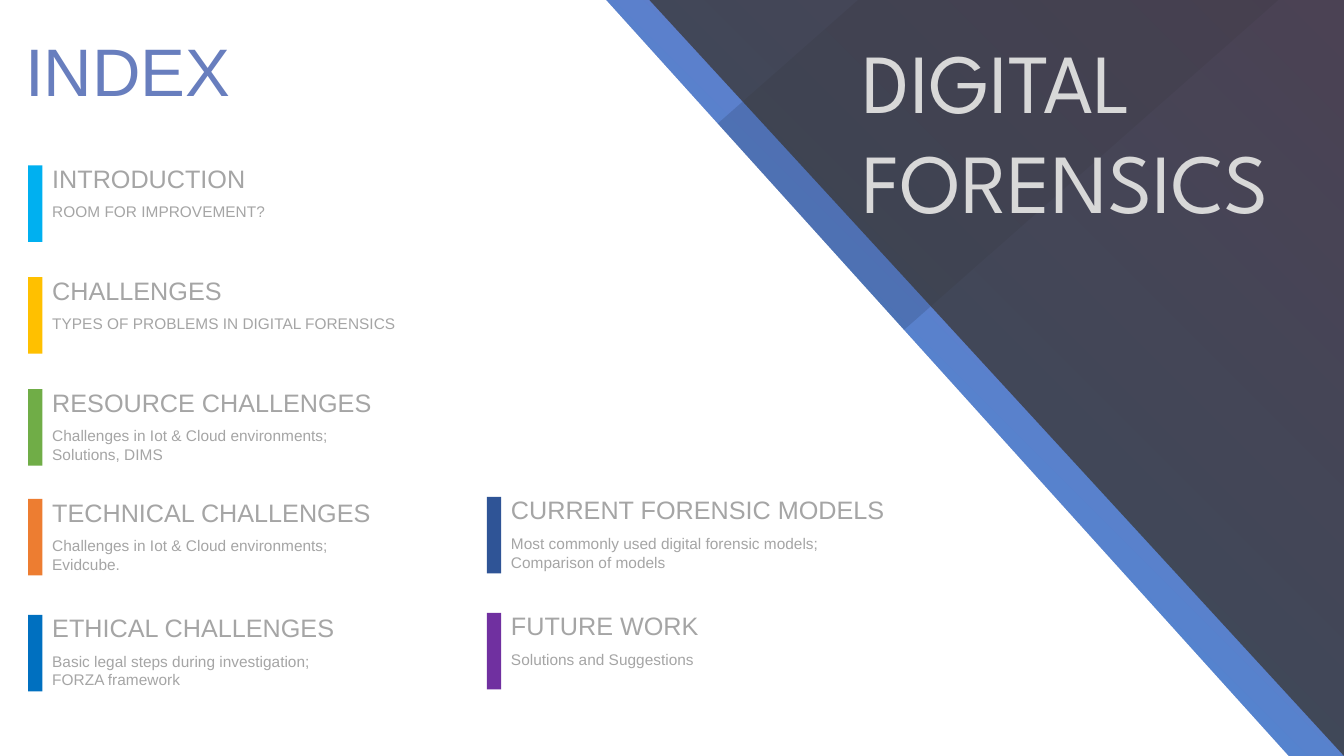
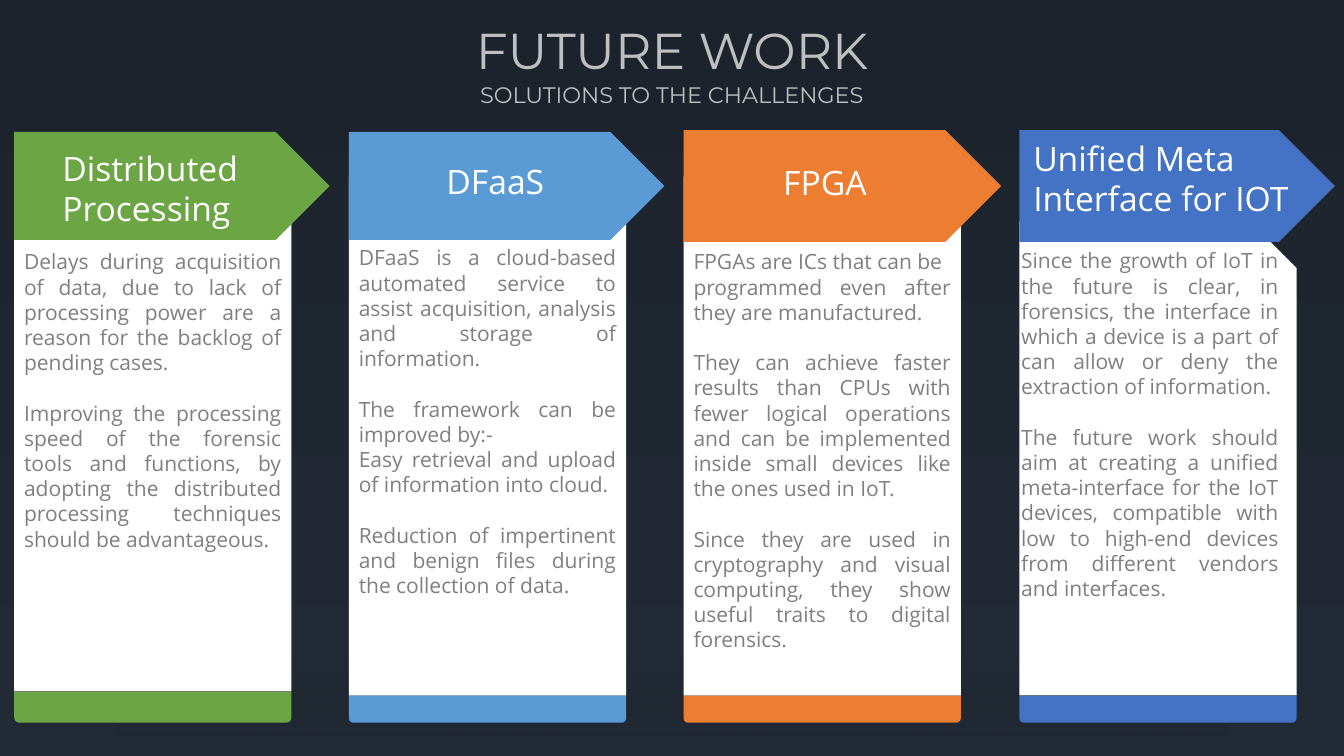
from dataclasses import dataclass

from lxml import etree
from pptx import Presentation
from pptx.dml.color import RGBColor
from pptx.enum.shapes import MSO_SHAPE
from pptx.enum.text import PP_ALIGN
from pptx.oxml.ns import qn
from pptx.util import Pt

EMU_PER_PX = 9144
LEFT, CENTER, JUSTIFY = PP_ALIGN.LEFT, PP_ALIGN.CENTER, PP_ALIGN.JUSTIFY
RECTANGLE = MSO_SHAPE.RECTANGLE
PENTAGON = MSO_SHAPE.PENTAGON
SNIPPED = MSO_SHAPE.SNIP_1_RECTANGLE
ROUNDED_TOP = MSO_SHAPE.ROUND_2_SAME_RECTANGLE


@dataclass(frozen=True)
class Theme:
    """Colours, fonts and type sizes of the presentation."""

    white: str = "FFFFFF"
    black: str = "000000"
    charcoal: str = "3A3838"
    sky: str = "00B0F0"
    violet: str = "8A67B9"
    night: str = "1C232C"
    dusk: str = "222A35"
    cover_text: str = "D8D8D8"
    index_title: str = "687EBE"
    index_text: str = "A5A5A5"
    title_text: str = "BFBFBF"
    body_text: str = "7F7F7F"
    amber: str = "FFC000"
    green: str = "70AD47"
    orange: str = "ED7D31"
    blue: str = "0070C0"
    navy: str = "2F5496"
    purple: str = "7030A0"
    leaf: str = "6CA644"
    azure: str = "5B9BD5"
    royal: str = "4472C4"
    cover_font: str = "League Spartan"
    index_font: str = "Arial"
    title_font: str = "Montserrat"
    column_font: str = "Open Sans"
    cover_size: int = 60
    index_size: int = 48
    title_size: int = 36
    heading_size: int = 24
    label_size: int = 18
    subtitle_size: int = 16
    body_size: int = 15
    detail_size: int = 11
    block_gap: int = 18


THEME = Theme()

INDEX_ENTRIES = (
    (28, 164, THEME.sky, "INTRODUCTION", "ROOM FOR IMPROVEMENT?"),
    (28, 275, THEME.amber, "CHALLENGES", "TYPES OF PROBLEMS IN DIGITAL FORENSICS"),
    (28, 386, THEME.green, "RESOURCE CHALLENGES",
     "Challenges in Iot & Cloud environments;\nSolutions, DIMS"),
    (28, 495, THEME.orange, "TECHNICAL CHALLENGES",
     "Challenges in Iot & Cloud environments;\nEvidcube."),
    (28, 610, THEME.blue, "ETHICAL CHALLENGES",
     "Basic legal steps during investigation;\nFORZA framework"),
    (483, 493, THEME.navy, "CURRENT FORENSIC MODELS",
     "Most commonly used digital forensic models;\nComparison of models"),
    (483, 608, THEME.purple, "FUTURE WORK", "Solutions and Suggestions"),
)


@dataclass(frozen=True)
class Column:
    """One solution, with offsets measured from the column's left edge."""

    color: str
    heading: str
    heading_box: tuple
    arrow_box: tuple
    panel_top: int
    footer_top: int
    body_offset: int
    body_top: int
    blocks: tuple


COLUMNS = (
    Column(THEME.leaf, "Distributed Processing", (38, 142, 200, 50),
           (131, 313, 107), 135, 686, 0, 242, (
               ("Delays during acquisition of data, due to lack of processing power "
                "are a reason for the backlog of pending cases.",),
               ("Improving the processing speed of the forensic tools and functions, by "
                "adopting the distributed processing techniques should be advantageous.",),
           )),
    Column(THEME.azure, "DFaaS", (87, 155, 150, 43),
           (131, 313, 107), 175, 690, 0, 238, (
               ("DFaaS is a cloud-based automated service to assist acquisition, "
                "analysis and storage of information.",),
               ("The framework can be improved by:-",
                "Easy retrieval and upload of information into cloud."),
               ("Reduction of impertinent and benign files during "
                "the collection of data.",),
           )),
    Column(THEME.orange, "FPGA", (89, 156, 150, 43),
           (129, 315, 111), 175, 690, 0, 242, (
               ("FPGAs are ICs that can be",
                "programmed even after they are manufactured."),
               ("They can achieve faster results than CPUs with fewer logical operations "
                "and can be implemented inside small devices like the ones used in IoT.",),
               ("Since they are used in cryptography and visual computing, they show "
                "useful traits to digital forensics.",),
           )),
    Column(THEME.royal, "Unified Meta Interface for IOT", (4, 132, 304, 71),
           (129, 313, 111), 220, 690, -8, 241, (
               ("Since the growth of IoT in the future is clear, in forensics, the "
                "interface in which a device is a part of can allow or deny the "
                "extraction of information.",),
               ("The future work should aim at creating a unified meta-interface for the "
                "IoT devices, compatible with low to high-end devices from different "
                "vendors and interfaces.",),
           )),
)


def px(length):
    """Turn pixels into EMU."""
    return length * EMU_PER_PX


def set_alpha(color_element, percent):
    """Make a colour partly transparent."""
    etree.SubElement(color_element, qn("a:alpha")).set("val", str(percent * 1000))


def paint(shape, color, opacity=100):
    """Give a shape a flat fill with no outline or shadow."""
    shape.shadow.inherit = False
    shape.line.fill.background()
    shape.fill.solid()
    shape.fill.fore_color.rgb = RGBColor.from_string(color)
    if opacity < 100:
        set_alpha(next(shape.element.spPr.iter(qn("a:srgbClr"))), opacity)


def paint_gradient(fill, colors, angle):
    """Fill with a two-colour gradient at a counter-clockwise angle."""
    fill.gradient()
    fill.gradient_angle = angle
    for stop, color, position in zip(fill.gradient_stops, colors, (0, 1)):
        stop.color.rgb = RGBColor.from_string(color)
        stop.position = position


def add_block(slide, kind, box, color):
    """Add a flat preset shape."""
    shape = slide.shapes.add_shape(kind, *map(px, box))
    paint(shape, color)
    return shape


def add_polygon(slide, points, color, opacity=100):
    """Add a flat closed outline."""
    start, *rest = [tuple(map(px, point)) for point in points]
    builder = slide.shapes.build_freeform(*start)
    builder.add_line_segments(rest, close=True)
    paint(builder.convert_to_shape(), color, opacity)


def add_text(slide, box, text, font, size, color, align=LEFT):
    """Add a wrapping text box in one style and return its frame."""
    frame = slide.shapes.add_textbox(*map(px, box)).text_frame
    frame.word_wrap = True
    frame.text = text
    for paragraph in frame.paragraphs:
        paragraph.alignment = align
        for run in paragraph.runs:
            run.font.name = font
            run.font.size = Pt(size)
            run.font.color.rgb = RGBColor.from_string(color)
    return frame


def add_slide(presentation, colors, angle):
    """Add a blank slide with a gradient background."""
    slide = presentation.slides.add_slide(presentation.slide_layouts[6])
    paint_gradient(slide.background.fill, colors, angle)
    return slide


def add_index_entry(slide, left, top, color, label, detail):
    """Place a colour bar with its label and detail."""
    add_block(slide, RECTANGLE, (left, top, 14, 76), color)
    add_text(slide, (left + 14, top - 7, 430, 40), label,
             THEME.index_font, THEME.label_size, THEME.index_text)
    add_text(slide, (left + 14, top + 32, 390, 47), detail,
             THEME.index_font, THEME.detail_size, THEME.index_text)


def build_index_slide(presentation):
    """Build the index beside the diagonal title area."""
    slide = add_slide(presentation, (THEME.sky, THEME.violet), 45)
    add_polygon(slide, ((851, 0), (1268, 0), (417, 750), (0, 750)), THEME.black, 12)
    add_polygon(slide, ((644, 0), (1333, 0), (1333, 750)), THEME.charcoal, 78)
    add_polygon(slide, ((0, 0), (601, 0), (1278, 750), (0, 750)), THEME.white)
    add_text(slide, (846, 24, 487, 64), "DIGITAL FORENSICS",
             THEME.cover_font, THEME.cover_size, THEME.cover_text)
    add_text(slide, (15, 24, 725, 91), "INDEX",
             THEME.index_font, THEME.index_size, THEME.index_title)
    for entry in INDEX_ENTRIES:
        add_index_entry(slide, *entry)


def add_fade(slide, box):
    """Darken the foot of the slide with a soft gradient."""
    shape = add_block(slide, RECTANGLE, box, THEME.dusk)
    paint_gradient(shape.fill, (THEME.night, THEME.dusk), 270)
    for color, opacity in zip(shape.element.spPr.iter(qn("a:srgbClr")), (0, 89)):
        set_alpha(color, opacity)


def add_column(slide, left, column):
    """Place one solution panel under its arrow heading."""
    width, bottom = 275, 717
    panel = (left, column.panel_top, width, column.footer_top - column.panel_top)
    add_block(slide, SNIPPED, panel, THEME.white)
    footer = (left, column.footer_top, width, bottom - column.footer_top)
    add_block(slide, ROUNDED_TOP, footer, column.color).rotation = 180

    lines = [line for block in column.blocks for line in block]
    openers = [block[0] for block in column.blocks[1:]]
    body = (left + column.body_offset, column.body_top, width,
            column.footer_top - column.body_top)
    frame = add_text(slide, body, "\n".join(lines), THEME.column_font,
                     THEME.body_size, THEME.body_text, JUSTIFY)
    for paragraph in frame.paragraphs:
        if paragraph.text in openers:
            paragraph.space_before = Pt(THEME.block_gap)

    add_block(slide, PENTAGON, (left, *column.arrow_box), column.color)
    offset, *rest = column.heading_box
    add_text(slide, (left + offset, *rest), column.heading,
             THEME.column_font, THEME.heading_size, THEME.white)


def build_solutions_slide(presentation):
    """Build the four solution columns under a centred title."""
    slide = add_slide(presentation, (THEME.night, THEME.dusk), 270)
    add_text(slide, (330, 14, 673, 71), "FUTURE WORK",
             THEME.title_font, THEME.title_size, THEME.title_text, CENTER)
    add_text(slide, (330, 76, 673, 37), "SOLUTIONS TO THE CHALLENGES",
             THEME.title_font, THEME.subtitle_size, THEME.title_text, CENTER)
    add_fade(slide, (116, 651, 1101, 99))
    for index, column in enumerate(COLUMNS):
        add_column(slide, 14 + 997 * index // 3, column)


def main():
    """Build and save the presentation."""
    presentation = Presentation()
    presentation.slide_width, presentation.slide_height = px(1333), px(750)
    build_index_slide(presentation)
    build_solutions_slide(presentation)
    presentation.save("out.pptx")


if __name__ == "__main__":
    main()
